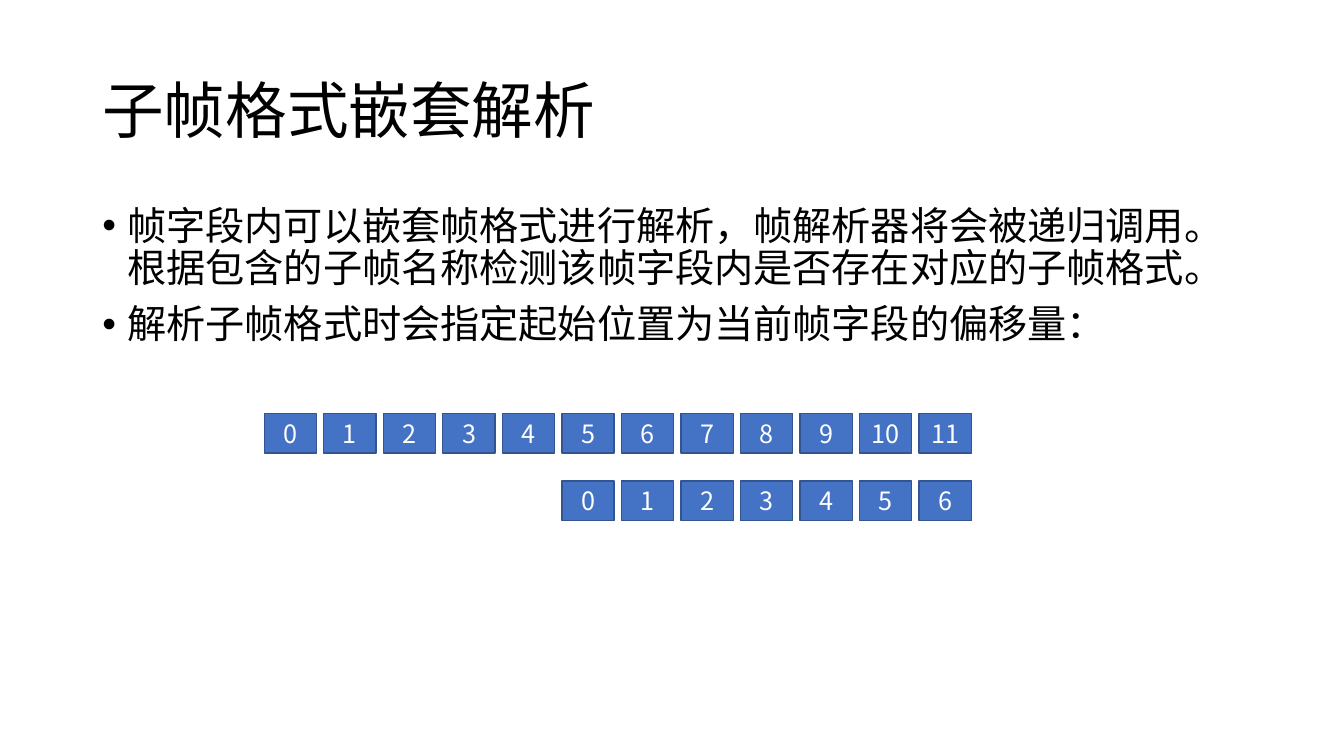
from lxml import etree
from pptx import Presentation
from pptx.dml.color import RGBColor
from pptx.enum.shapes import MSO_SHAPE
from pptx.enum.text import MSO_ANCHOR, PP_ALIGN
from pptx.oxml.ns import qn
from pptx.util import Cm, Pt

RECTANGLE = MSO_SHAPE.RECTANGLE
TOP, MIDDLE = MSO_ANCHOR.TOP, MSO_ANCHOR.MIDDLE
LEFT, CENTER = PP_ALIGN.LEFT, PP_ALIGN.CENTER

HEADING = "子帧格式嵌套解析"
POINTS = [
    "帧字段内可以嵌套帧格式进行解析，帧解析器将会被递归调用。"
    "根据包含的子帧名称检测该帧字段内是否存在对应的子帧格式。",
    "解析子帧格式时会指定起始位置为当前帧字段的偏移量：",
]
FRAMES = [
    {"offset": 0, "bytes": 12, "top": 10.42},
    {"offset": 5, "bytes": 7, "top": 12.12},
]

THEME = {
    "font": "Noto Sans CJK SC",
    "text": RGBColor(0x00, 0x00, 0x00),
    "byte_text": RGBColor(0xFF, 0xFF, 0xFF),
    "byte_fill": RGBColor(0x44, 0x72, 0xC4),
    "byte_line": RGBColor(0x32, 0x54, 0x91),
    "heading_size": Pt(44),
    "point_size": Pt(28),
    "byte_size": Pt(18),
}

SLIDE_WIDTH, SLIDE_HEIGHT = 33.87, 19.05
MARGIN, CONTENT_WIDTH = 2.33, 29.21
HEADING_TOP, HEADING_HEIGHT = 1.01, 3.68
POINTS_TOP, POINTS_HEIGHT = 5.07, 12.09
BULLET_INDENT = 0.63
BYTES_LEFT, BYTE_PITCH = 6.66, 1.5
BYTE_WIDTH, BYTE_HEIGHT = 1.32, 1.0


def apply(target, formats):
    for attribute, value in formats.items():
        setattr(target, attribute, value)


def write(frame, lines, size, color, anchor=TOP, **paragraph_format):
    apply(frame, {"word_wrap": True, "vertical_anchor": anchor})
    for index, line in enumerate(lines):
        paragraph = frame.add_paragraph() if index else frame.paragraphs[0]
        apply(paragraph, paragraph_format)
        run = paragraph.add_run()
        run.text = line
        apply(run.font, {"size": size, "name": THEME["font"]})
        run.font.color.rgb = color
        east_asian = etree.SubElement(run.font._element, qn("a:ea"))
        east_asian.set("typeface", THEME["font"])


def add_bullet(paragraph):
    properties = paragraph._p.get_or_add_pPr()
    properties.set("marL", str(Cm(BULLET_INDENT)))
    properties.set("indent", str(-Cm(BULLET_INDENT)))
    etree.SubElement(properties, qn("a:buFont")).set("typeface", "Arial")
    etree.SubElement(properties, qn("a:buChar")).set("char", "•")


def add_byte(slide, number, column, top):
    byte = slide.shapes.add_shape(
        RECTANGLE, Cm(BYTES_LEFT + column * BYTE_PITCH), Cm(top),
        Cm(BYTE_WIDTH), Cm(BYTE_HEIGHT))
    byte.shadow.inherit = False
    byte.fill.solid()
    byte.fill.fore_color.rgb = THEME["byte_fill"]
    byte.line.color.rgb = THEME["byte_line"]
    byte.line.width = Pt(1)
    write(byte.text_frame, [str(number)], THEME["byte_size"],
          THEME["byte_text"], MIDDLE, alignment=CENTER)


def main():
    deck = Presentation()
    apply(deck, {"slide_width": Cm(SLIDE_WIDTH), "slide_height": Cm(SLIDE_HEIGHT)})
    slide = deck.slides.add_slide(deck.slide_layouts[6])

    heading = slide.shapes.add_textbox(
        Cm(MARGIN), Cm(HEADING_TOP), Cm(CONTENT_WIDTH), Cm(HEADING_HEIGHT))
    write(heading.text_frame, [HEADING], THEME["heading_size"], THEME["text"],
          MIDDLE, alignment=LEFT, line_spacing=0.9)

    points = slide.shapes.add_textbox(
        Cm(MARGIN), Cm(POINTS_TOP), Cm(CONTENT_WIDTH), Cm(POINTS_HEIGHT))
    write(points.text_frame, POINTS, THEME["point_size"], THEME["text"],
          alignment=LEFT, line_spacing=0.9, space_before=Pt(10))
    for point in points.text_frame.paragraphs:
        add_bullet(point)

    for frame in FRAMES:
        for number in range(frame["bytes"]):
            add_byte(slide, number, frame["offset"] + number, frame["top"])

    deck.save("out.pptx")


if __name__ == "__main__":
    main()
